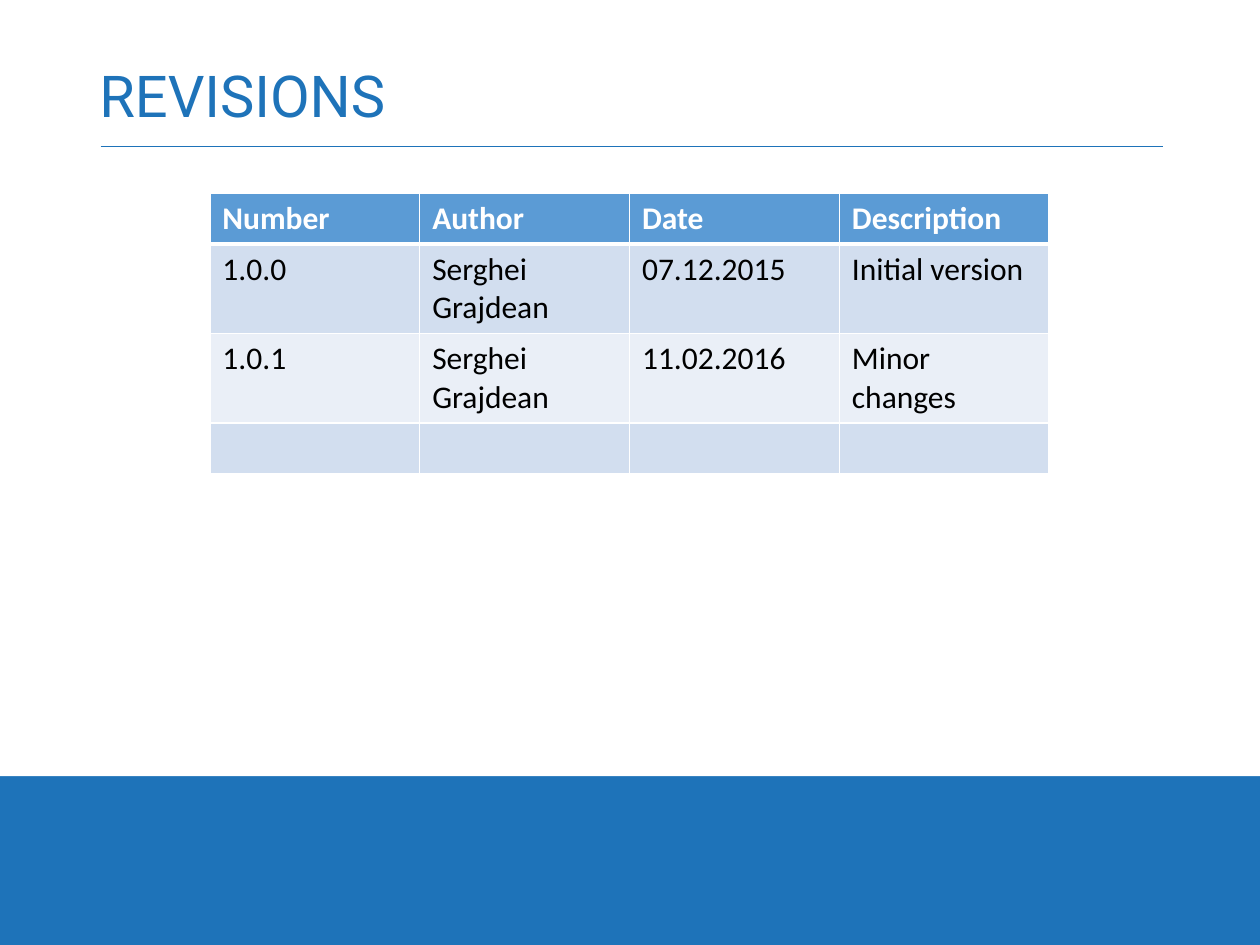
"""Build the revisions slide with its history table."""
from dataclasses import astuple, dataclass

from lxml import etree
from pptx import Presentation
from pptx import util as u
from pptx.dml.color import RGBColor
from pptx.enum import shapes, text
from pptx.oxml import ns

BLUE = RGBColor(0x1E, 0x73, 0xB9)
HEADER = RGBColor(0x5B, 0x9B, 0xD5)
BAND_DARK = RGBColor(0xD2, 0xDE, 0xEF)
BAND_LIGHT = RGBColor(0xEA, 0xEF, 0xF7)
WHITE = RGBColor(0xFF, 0xFF, 0xFF)
BLACK = RGBColor(0, 0, 0)


@dataclass
class Revision:
    number: str = ""
    author: str = ""
    date: str = ""
    description: str = ""


ROWS = [
    Revision("Number", "Author", "Date", "Description"),
    Revision("1.0.0", "Serghei Grajdean", "07.12.2015", "Initial version"),
    Revision("1.0.1", "Serghei Grajdean", "11.02.2016", "Minor changes"),
    Revision(),
]


def draw_title(page, words: str) -> None:
    title = page.shapes.title
    title.left, title.top = u.Cm(1.75), u.Cm(1.02)
    title.width, title.height = u.Cm(21.9), u.Cm(1.93)
    frame = title.text_frame
    frame.text = words
    frame.auto_size = text.MSO_AUTO_SIZE.NONE
    frame.vertical_anchor = text.MSO_ANCHOR.MIDDLE
    para = frame.paragraphs[0]
    para.alignment = text.PP_ALIGN.LEFT
    para.line_spacing = 0.9
    font = para.runs[0].font
    font.name, font.size = "Roboto", u.Pt(33)
    font.color.rgb = BLUE


def draw_backdrop(page, width: int) -> None:
    page.background.fill.solid()
    page.background.fill.fore_color.rgb = BLUE
    panel = page.shapes.add_shape(
        shapes.MSO_SHAPE.RECTANGLE, 0, 0, width, u.Cm(15.65))
    panel.shadow.inherit = False
    panel.fill.solid()
    panel.fill.fore_color.rgb = WHITE
    panel.line.fill.background()
    rule = page.shapes.add_connector(
        shapes.MSO_CONNECTOR.STRAIGHT,
        u.Cm(2.03), u.Cm(2.95), u.Cm(23.44), u.Cm(2.95))
    rule.line.color.rgb = BLUE
    rule.line.width = u.Pt(0.5)
    etree.SubElement(rule.element.spPr, ns.qn("a:effectLst"))
    for item in (panel, rule):
        page.shapes.title.element.addprevious(item.element)


def set_border(cell, side: str, points: int) -> None:
    properties = cell._tc.get_or_add_tcPr()
    line = etree.SubElement(
        properties, ns.qn(f"a:ln{side}"), w=str(u.Pt(points)))
    fill = etree.SubElement(line, ns.qn("a:solidFill"))
    etree.SubElement(fill, ns.qn("a:srgbClr"), val=str(WHITE))


def draw_cell(cell, words: str, row: int) -> None:
    is_header = row == 0
    thick_side = {0: "B", 1: "T"}.get(row)
    for side in "LRTB":
        set_border(cell, side, 3 if side == thick_side else 1)
    cell.fill.solid()
    cell.fill.fore_color.rgb = (
        HEADER if is_header else BAND_DARK if row % 2 else BAND_LIGHT)
    cell.text_frame.text = words
    for span in cell.text_frame.paragraphs[0].runs:
        span.font.name, span.font.size = "Calibri", u.Pt(18)
        span.font.bold = is_header
        span.font.color.rgb = WHITE if is_header else BLACK


def draw_table(page, revisions: list[Revision]) -> None:
    column_count = len(astuple(revisions[0]))
    column_width, row_height = u.Cm(4.23), u.Cm(1.03)
    table = page.shapes.add_table(
        len(revisions), column_count, u.Cm(4.23), u.Cm(3.89),
        column_width * column_count, row_height * len(revisions)).table
    for row, revision in enumerate(revisions):
        for column, words in enumerate(astuple(revision)):
            draw_cell(table.cell(row, column), words, row)


def main() -> None:
    deck = Presentation()
    deck.slide_width, deck.slide_height = u.Cm(25.4), u.Cm(19.05)
    page = deck.slides.add_slide(deck.slide_layouts.get_by_name("Title Only"))
    draw_backdrop(page, deck.slide_width)
    draw_title(page, "REVISIONS")
    draw_table(page, ROWS)
    deck.save("out.pptx")


if __name__ == "__main__":
    main()
